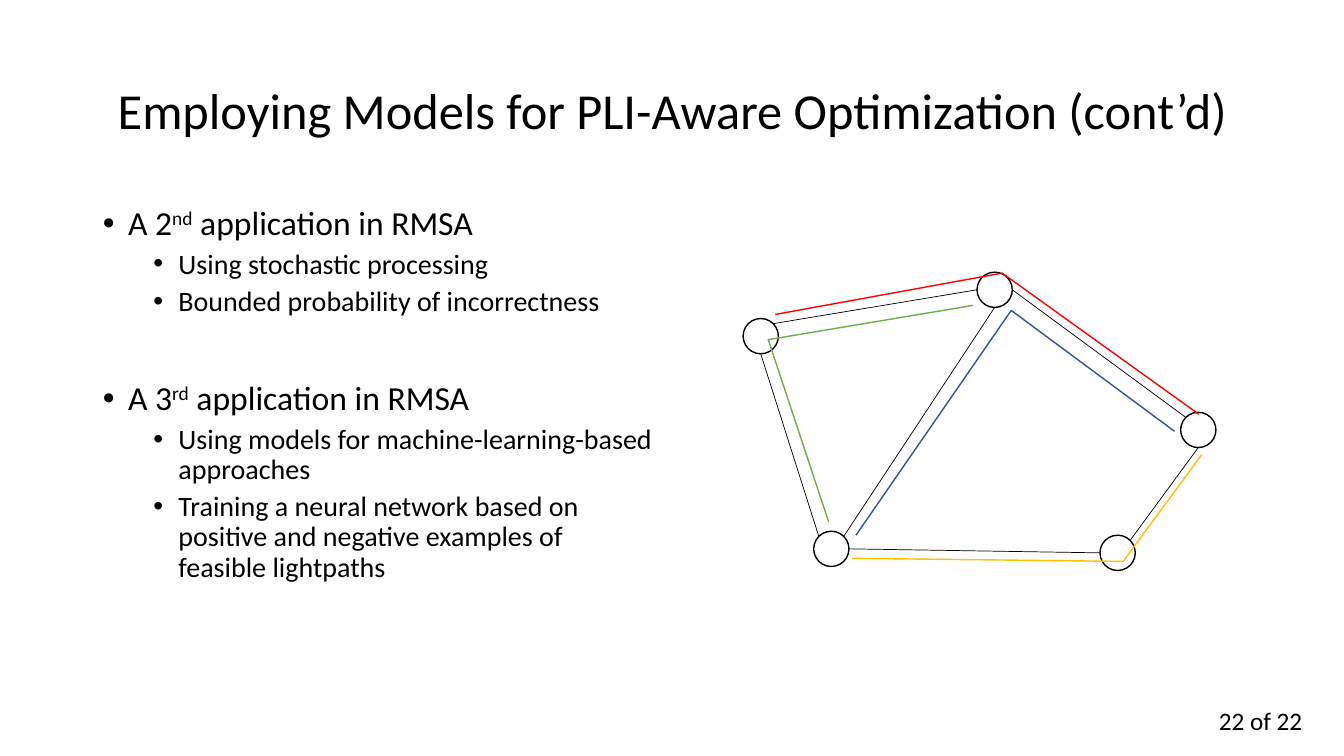
from lxml.etree import SubElement
from pptx import Presentation
from pptx.dml.color import RGBColor
from pptx.enum.shapes import MSO_CONNECTOR, MSO_SHAPE
from pptx.enum.text import MSO_ANCHOR, MSO_AUTO_SIZE, PP_ALIGN
from pptx.oxml.ns import qn
from pptx.util import Inches, Pt

TITLE = "Employing Models for PLI-Aware Optimization (cont’d)"
PAGE_LABEL = "22 of 22"

# level, space before, text spans (the second span of three is superscript)
BULLETS = [
    (0, 0, ["A 2", "nd", " application in RMSA"]),
    (1, 5, ["Using stochastic processing"]),
    (1, 5, ["Bounded probability of incorrectness"]),
    (0, 46, ["A 3", "rd", " application in RMSA"]),
    (1, 5, ["Using models for machine-learning-based approaches"]),
    (1, 5, ["Training a neural network based on positive and negative "
            "examples of feasible lightpaths"]),
]
LEVEL_SIZES = [24, 20]
LEVEL_INDENTS = [0.25, 0.75]

NODE_SIZE = 0.35
NODES = {
    "west": (7.37, 3.16),
    "north": (9.69, 2.70),
    "southwest": (8.07, 5.27),
    "east": (11.71, 4.09),
    "southeast": (10.91, 5.31),
}
# node and compass point on its rim, at each end
LINKS = [
    ("west", "NE", "north", "W"),
    ("west", "S", "southwest", "NW"),
    ("southwest", "E", "southeast", "W"),
    ("southeast", "NE", "east", "S"),
    ("north", "E", "east", "NW"),
    ("north", "S", "southwest", "NE"),
]
LIGHTPATHS = [
    ("70AD47", [(8.22, 5.18), (7.62, 3.37), (9.65, 3.03)]),
    ("FF0000", [(7.69, 3.12), (9.94, 2.71), (11.89, 4.11)]),
    ("325491", [(8.49, 5.31), (10.03, 3.08), (11.65, 4.28)]),
    ("FFC000", [(8.45, 5.54), (11.14, 5.57), (11.92, 4.51)]),
]
DIAGONAL = 0.5 ** 0.5
RIM = {"W": (-1, 0), "E": (1, 0), "S": (0, 1),
       "NW": (-DIAGONAL, -DIAGONAL), "NE": (DIAGONAL, -DIAGONAL)}


def color(hex_code):
    return RGBColor.from_string(hex_code)


def place(shape, left, top, width, height):
    shape.left, shape.top = Inches(left), Inches(top)
    shape.width, shape.height = Inches(width), Inches(height)


def style_font(font, size):
    font.name, font.size = "Calibri", Pt(size)
    font.color.rgb = color("000000")


def style_line(shape, hex_code, width):
    shape.line.color.rgb = color(hex_code)
    shape.line.width = Pt(width)


def rim_point(node, side):
    return [Inches(corner + NODE_SIZE / 2 * (1 + share))
            for corner, share in zip(NODES[node], RIM[side])]


def add_bullet(para, level, space, spans):
    para.level = level
    para.line_spacing, para.space_before = 0.9, Pt(space)
    para.space_after = Pt(0)
    properties = para._p.get_or_add_pPr()
    properties.set("marL", str(Inches(LEVEL_INDENTS[level])))
    properties.set("indent", str(Inches(-0.25)))
    SubElement(properties, qn("a:buFont")).set("typeface", "Arial")
    SubElement(properties, qn("a:buChar")).set("char", "•")
    for index, words in enumerate(spans):
        span = para.add_run()
        span.text = words
        style_font(span.font, LEVEL_SIZES[level])
        if index == 1:
            span._r.get_or_add_rPr().set("baseline", "30000")


def add_text(page):
    title, body = page.shapes.title, page.placeholders[1]
    place(title, 0.92, 0.4, 11.5, 1.45)
    frame = title.text_frame
    frame.text = TITLE
    frame.auto_size = MSO_AUTO_SIZE.NONE
    frame.vertical_anchor = MSO_ANCHOR.MIDDLE
    heading = frame.paragraphs[0]
    heading.alignment, heading.line_spacing = PP_ALIGN.CENTER, 0.9
    style_font(heading.runs[0].font, 36)

    place(body, 0.92, 2, 5.67, 4.76)
    frame = body.text_frame
    frame.auto_size = MSO_AUTO_SIZE.NONE
    for index, bullet in enumerate(BULLETS):
        para = frame.add_paragraph() if index else frame.paragraphs[0]
        add_bullet(para, *bullet)

    box = page.shapes.add_textbox(Inches(11.99), Inches(6.95), Inches(1.34), Inches(0.4))
    box.text_frame.text = PAGE_LABEL
    box.text_frame.word_wrap = True
    style_font(box.text_frame.paragraphs[0].runs[0].font, 18)


def add_network(page):
    for left, top in NODES.values():
        node = page.shapes.add_shape(MSO_SHAPE.OVAL, 0, 0, 0, 0)
        place(node, left, top, NODE_SIZE, NODE_SIZE)
        node.shadow.inherit = False
        node.fill.solid()
        node.fill.fore_color.rgb = color("FFFFFF")
        style_line(node, "000000", 1)
    for start, start_side, end, end_side in LINKS:
        link = page.shapes.add_connector(
            MSO_CONNECTOR.STRAIGHT, *rim_point(start, start_side), *rim_point(end, end_side))
        style_line(link, "000000", 0.5)
        SubElement(link._element.spPr, qn("a:effectLst"))
    for hex_code, points in LIGHTPATHS:
        start, *others = [(Inches(x), Inches(y)) for x, y in points]
        builder = page.shapes.build_freeform(*start)
        builder.add_line_segments(others, close=False)
        lightpath = builder.convert_to_shape()
        lightpath.shadow.inherit = False
        lightpath.fill.background()
        style_line(lightpath, hex_code, 1)


def main():
    deck = Presentation()
    deck.slide_width, deck.slide_height = Inches(13.33), Inches(7.5)
    page = deck.slides.add_slide(deck.slide_layouts[1])
    add_text(page)
    add_network(page)
    deck.save("out.pptx")


if __name__ == "__main__":
    main()
